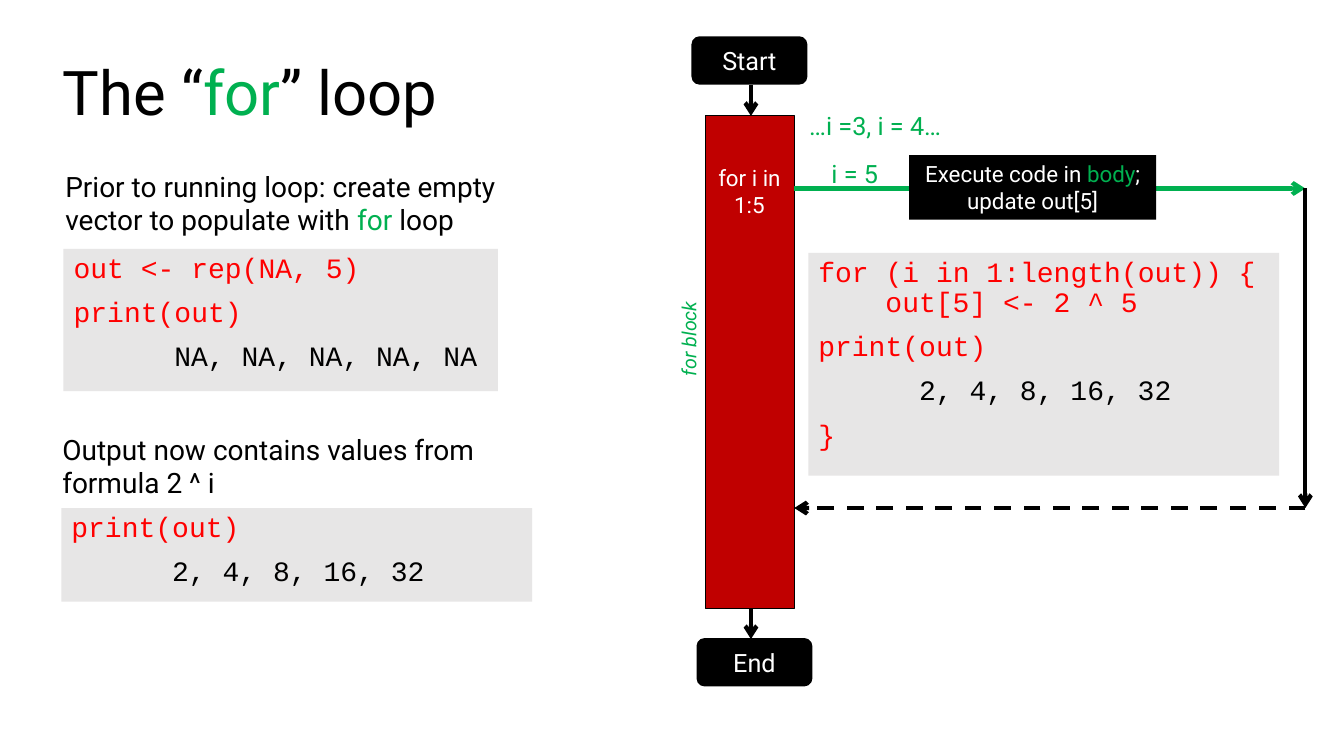
import pptx
import pptx.dml.color
import pptx.enum.dml
import pptx.enum.shapes
import pptx.enum.text
import pptx.oxml.ns
import pptx.util
from lxml import etree

RGB = pptx.dml.color.RGBColor
BLACK = RGB(0x00, 0x00, 0x00)
WHITE = RGB(0xFF, 0xFF, 0xFF)
GREEN = RGB(0x00, 0xB0, 0x50)
RED = RGB(0xFF, 0x00, 0x00)
BRICK = RGB(0xC0, 0x00, 0x00)
GREY = RGB(0xE7, 0xE6, 0xE6)

SHAPE = pptx.enum.shapes.MSO_SHAPE
ALIGN = pptx.enum.text.PP_ALIGN
ANCHOR = pptx.enum.text.MSO_ANCHOR
COLS, ROWS = 160, 90
UNIT = pptx.util.Inches(1) // 12  # one grid column or row


def grid(*steps):
    return [pptx.util.Emu(round(step * UNIT)) for step in steps]


def write(frame, text, size=18, font="Roboto", color=BLACK, align=ALIGN.LEFT,
          anchor=ANCHOR.TOP, italic=False, space=None, add=False):
    """Write one paragraph; *starred* words turn green, \\v breaks the line."""
    frame.word_wrap = True
    frame.auto_size = pptx.enum.text.MSO_AUTO_SIZE.NONE
    frame.vertical_anchor = anchor
    para = frame.add_paragraph() if add else frame.paragraphs[0]
    para.alignment = align
    if space:
        para.line_spacing = space
    for turn, part in enumerate(text.split("*")):
        for row, bit in enumerate(part.split("\v")):
            if row:
                para.add_line_break()
            run = para.add_run()
            run.text = bit
            run.font.size = pptx.util.Pt(size)
            run.font.name = font
            run.font.italic = italic
            run.font.color.rgb = GREEN if turn % 2 else color
    return para


class Page:
    def __init__(self, deck):
        self.slide = deck.slides.add_slide(deck.slide_layouts[1])
        self.shapes = self.slide.shapes

    def place(self, shape, spot):
        shape.left, shape.top, shape.width, shape.height = grid(*spot)

    def title(self, spot, text):
        self.place(self.shapes.title, spot)
        write(self.shapes.title.text_frame, text, size=44,
              anchor=ANCHOR.MIDDLE, space=0.9)

    def label(self, spot, text, turn=0, **form):
        box = self.shapes.add_textbox(*grid(*spot))
        box.rotation = turn
        write(box.text_frame, text, **form)

    def block(self, spot, fill, text="", kind=SHAPE.RECTANGLE, edge=None, **form):
        box = self.shapes.add_shape(kind, *grid(*spot))
        box.shadow.inherit = False
        box.fill.solid()
        box.fill.fore_color.rgb = fill
        if edge is None:
            box.line.fill.background()
        else:
            box.line.color.rgb = edge
            box.line.width = pptx.util.Pt(0.75)
        if text:
            write(box.text_frame, text, color=WHITE, align=ALIGN.CENTER, **form)
        return box

    def code(self, spot, lines, holder=None):
        """Fill a grey panel with lines of (text, color, left, first-line indent)."""
        box = holder or self.block(spot, GREY)
        self.place(box, spot)
        box.fill.solid()
        box.fill.fore_color.rgb = GREY
        for row, (text, color, left, first) in enumerate(lines):
            para = write(box.text_frame, text, size=20, font="Courier New",
                         color=color, space=0.9, add=row > 0)
            para.space_before = pptx.util.Pt(10)
            props = para._p.get_or_add_pPr()
            props.set("marL", str(left * UNIT))
            props.set("indent", str(first * UNIT))
            etree.SubElement(props, pptx.oxml.ns.qn("a:buNone"))

    def arrow(self, start, end, color=BLACK, dash=False):
        link = self.shapes.add_connector(
            pptx.enum.shapes.MSO_CONNECTOR.STRAIGHT, *grid(*start, *end))
        link.line.color.rgb = color
        link.line.width = pptx.util.Pt(3)
        if dash:
            link.line.dash_style = pptx.enum.dml.MSO_LINE.DASH
        line = link.line._get_or_add_ln()
        etree.SubElement(line, pptx.oxml.ns.qn("a:tailEnd"), type="arrow")
        etree.SubElement(link._element.spPr, pptx.oxml.ns.qn("a:effectLst"))


def main():
    deck = pptx.Presentation()
    deck.slide_width, deck.slide_height = grid(COLS, ROWS)
    page = Page(deck)

    # Code lines: plain, or results set in by an inch
    show = ("print(out)", RED, 0, 0)
    powers = ("2, 4, 8, 16, 32", BLACK, 12, 0)

    # Left side: title, setup and output
    page.title((6.24, 4.32, 108, 14.04), "The “*for*” loop")
    page.label((6.6, 19.56, 54.36, 9.24), "Prior to running loop: create empty "
               "vector to populate with *for* loop", size=20)
    page.code((7.56, 29.64, 51.72, 16.92),
              [("out <- rep(NA, 5)", RED, 0, 0), show,
               ("NA, NA, NA, NA, NA", BLACK, 12, 0)],
              holder=page.slide.placeholders[1])
    page.label((6.24, 50.88, 54.36, 9.24),
               "Output now contains values from formula 2 ^ i", size=20)
    page.code((7.32, 60.48, 56.04, 11.16), [show, powers])

    # Flow from start through the loop bar to end
    for left, top, name in ((82.32, 4.32, "Start"), (82.92, 75.96, "End")):
        page.block((left, top, 13.8, 5.76), BLACK, name,
                   kind=SHAPE.ROUNDED_RECTANGLE, anchor=ANCHOR.MIDDLE)
    page.block((84, 13.8, 10.56, 58.68), BRICK, edge=BLACK)
    page.label((84, 18.96, 10.44, 7.68), "for i in 1:5", size=16,
               color=WHITE, align=ALIGN.CENTER)
    page.label((73.56, 38.28, 16.92, 4.08), "for block", turn=270, size=14,
               color=GREEN, align=ALIGN.CENTER, italic=True)
    for top, foot in ((10.08, 13.8), (72.48, 76.08)):
        page.arrow((89.4, top), (89.4, foot))

    # Loop pass: out, down and back
    bar, far, high, low = 94.56, 155.4, 22.44, 60.48
    page.arrow((bar, high), (far, high), color=GREEN)
    page.arrow((far, high), (far, low))
    page.arrow((far, low), (bar, low), dash=True)
    page.label((95.16, 12.6, 27.84, 4.8), "…i =3, i = 4…", color=GREEN)
    page.label((96.96, 18.24, 9.6, 4.8), "i = 5", color=GREEN, align=ALIGN.CENTER)
    page.block((108.24, 18.48, 29.4, 7.68), BLACK,
               "Execute code in *body*; update out[5]", size=16)

    # Body of the loop, its second line set in by a hanging indent
    page.code((96.24, 30.12, 56.04, 26.52),
              [("for (i in 1:length(out)) {\vout[5] <- 2 ^ 5", RED, 8, -8),
               show, powers, ("}", RED, 0, 0)])

    deck.save("out.pptx")


if __name__ == "__main__":
    main()
